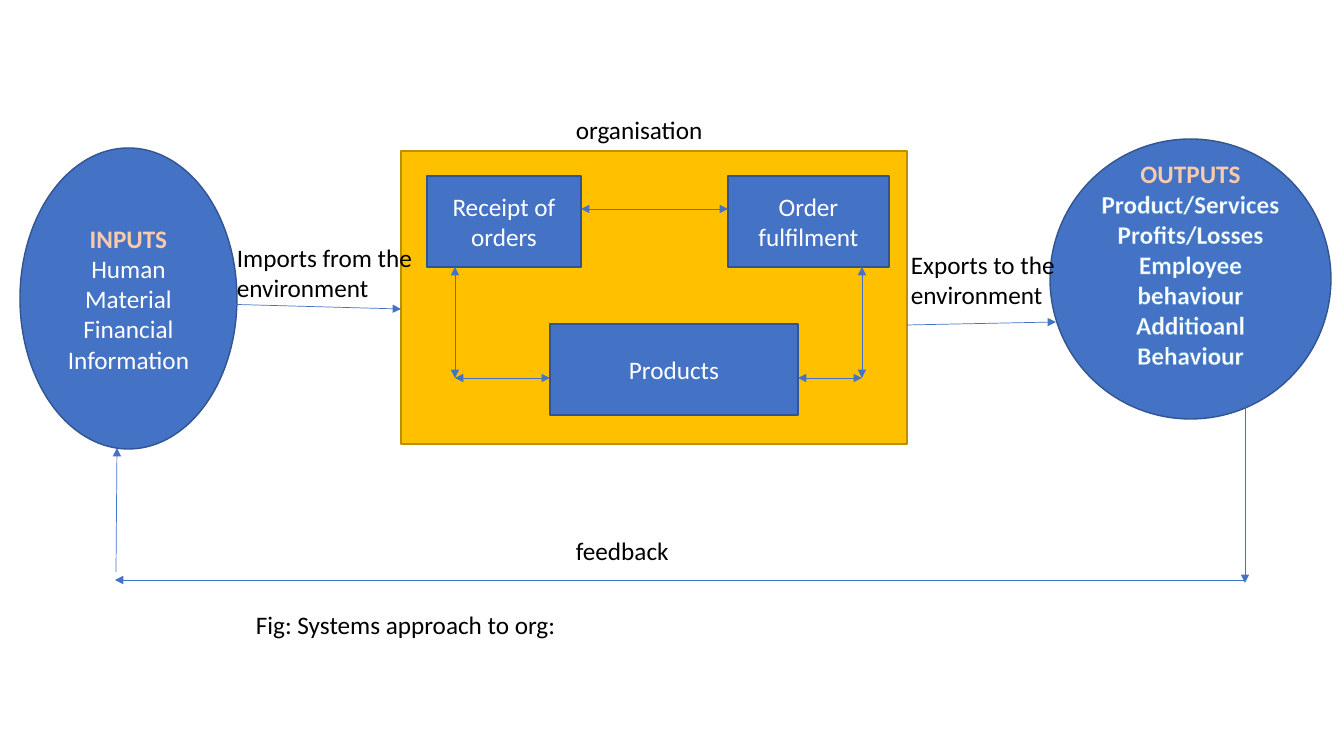
import pptx
import pptx.util
import pptx.dml.color
import pptx.enum.shapes
import pptx.enum.text
import pptx.oxml
import pptx.oxml.ns

RGB = pptx.dml.color.RGBColor
SHAPE = pptx.enum.shapes.MSO_SHAPE
ALIGN = pptx.enum.text.PP_ALIGN
ANCHOR = pptx.enum.text.MSO_ANCHOR

BLUE = RGB(0x44, 0x72, 0xC4)
DARK_BLUE = RGB(0x32, 0x54, 0x91)
GOLD = RGB(0xFF, 0xC0, 0x00)
DARK_GOLD = RGB(0xBD, 0x8E, 0x00)
PEACH = RGB(0xF8, 0xCB, 0xAD)
ORANGE = RGB(0xED, 0x7D, 0x31)
LIGHT_BLUE = RGB(0x5B, 0x9B, 0xD5)
WHITE = RGB(0xFF, 0xFF, 0xFF)
BLACK = RGB(0, 0, 0)

HEADING = {"color": PEACH, "bold": True, "outline": (ORANGE, 1.75)}
PLAIN = {"color": WHITE}
STRONG = {"color": WHITE, "bold": True, "outline": (LIGHT_BLUE, 0.8)}
LABEL = {"color": BLACK}

INPUTS = [("INPUTS", HEADING)] + [
    (t, PLAIN) for t in ("Human", "Material", "Financial", "Information")]
OUTPUTS = [("OUTPUTS", HEADING)] + [
    (t, STRONG) for t in ("Product/Services", "Profits/Losses",
                          "Employee behaviour", "Additioanl Behaviour")]

SHAPES = [
    (SHAPE.OVAL, (20, 148, 217, 301), BLUE, DARK_BLUE, INPUTS, 5),
    (SHAPE.OVAL, (1050, 139, 281, 280), BLUE, DARK_BLUE, OUTPUTS, 35),
    (SHAPE.RECTANGLE, (401, 151, 506, 293), GOLD, DARK_GOLD, [], 5),
    (SHAPE.RECTANGLE, (427, 176, 154, 91), BLUE, DARK_BLUE,
     [("Receipt of orders", PLAIN)], 5),
    (SHAPE.RECTANGLE, (550, 324, 248, 91), BLUE, DARK_BLUE,
     [("Products", PLAIN)], 5),
    (SHAPE.RECTANGLE, (728, 176, 161, 91), BLUE, DARK_BLUE,
     [("Order fulfilment", PLAIN)], 5),
]

ONE_WAY = ("tailEnd",)
TWO_WAY = ("headEnd", "tailEnd")
ARROWS = [
    ((1245, 403, 1245, 583), ONE_WAY),
    ((1245, 580, 115, 580), ONE_WAY),
    ((116, 572, 117, 448), ONE_WAY),
    ((581, 209, 728, 209), TWO_WAY),
    ((862, 267, 862, 378), TWO_WAY),
    ((798, 378, 862, 378), TWO_WAY),
    ((455, 267, 455, 378), TWO_WAY),
    ((455, 378, 550, 378), TWO_WAY),
    ((219, 304, 401, 309), ONE_WAY),
    ((907, 325, 1056, 322), ONE_WAY),
]

LABELS = [
    ("Imports from the environment", (227, 237, 197, 71)),
    ("Exports to the environment", (901, 244, 197, 71)),
    ("organisation", (566, 109, 176, 40)),
    ("feedback", (566, 530, 176, 40)),
    ("Fig: Systems approach to org:", (246, 604, 810, 40)),
]


def px(*values):
    return [pptx.util.Emu(round(v * 914400 / 100.8)) for v in values]


def add_outline(r, color, width):
    ns = pptx.oxml.ns.nsdecls("a")
    r.font._element.insert(0, pptx.oxml.parse_xml(
        f'<a:ln {ns} w="{round(width * 12700)}"><a:solidFill>'
        f'<a:srgbClr val="{color}"/></a:solidFill></a:ln>'))


def write(tf, lines, align):
    tf.word_wrap = True
    for i, (text, style) in enumerate(lines):
        p = tf.add_paragraph() if i else tf.paragraphs[0]
        p.alignment = align
        r = p.add_run()
        r.text = text
        font = {"name": "Calibri", "size": pptx.util.Pt(18),
                "bold": style.get("bold", False)}
        for name, value in font.items():
            setattr(r.font, name, value)
        r.font.color.rgb = style["color"]
        if "outline" in style:
            add_outline(r, *style["outline"])


def add_shape(s, kind, box, fill, line, lines, bottom):
    sp = s.shapes.add_shape(kind, *px(*box))
    sp.shadow.inherit = False
    sp.fill.solid()
    sp.fill.fore_color.rgb = fill
    sp.line.color.rgb = line
    sp.line.width = pptx.util.Pt(1)
    tf = sp.text_frame
    tf.vertical_anchor = ANCHOR.MIDDLE
    tf.margin_bottom = px(bottom)[0]
    write(tf, lines, ALIGN.CENTER)


def add_arrow(s, ends, heads):
    cx = s.shapes.add_connector(
        pptx.enum.shapes.MSO_CONNECTOR.STRAIGHT, *px(*ends))
    cx.line.color.rgb = BLUE
    cx.line.width = pptx.util.Pt(0.5)
    ln = cx.line._get_or_add_ln()
    ns = pptx.oxml.ns.nsdecls("a")
    for head in heads:
        ln.append(pptx.oxml.parse_xml(f'<a:{head} {ns} type="triangle"/>'))
    cx._element.spPr.append(pptx.oxml.parse_xml(f"<a:effectLst {ns}/>"))


def main():
    prs = pptx.Presentation()
    prs.slide_width, prs.slide_height = px(1344, 756)
    s = prs.slides.add_slide(prs.slide_layouts[6])
    for shape in SHAPES:
        add_shape(s, *shape)
    for arrow in ARROWS:
        add_arrow(s, *arrow)
    for text, box in LABELS:
        tb = s.shapes.add_textbox(*px(*box))
        write(tb.text_frame, [(text, LABEL)], ALIGN.LEFT)
    prs.save("out.pptx")


if __name__ == "__main__":
    main()
